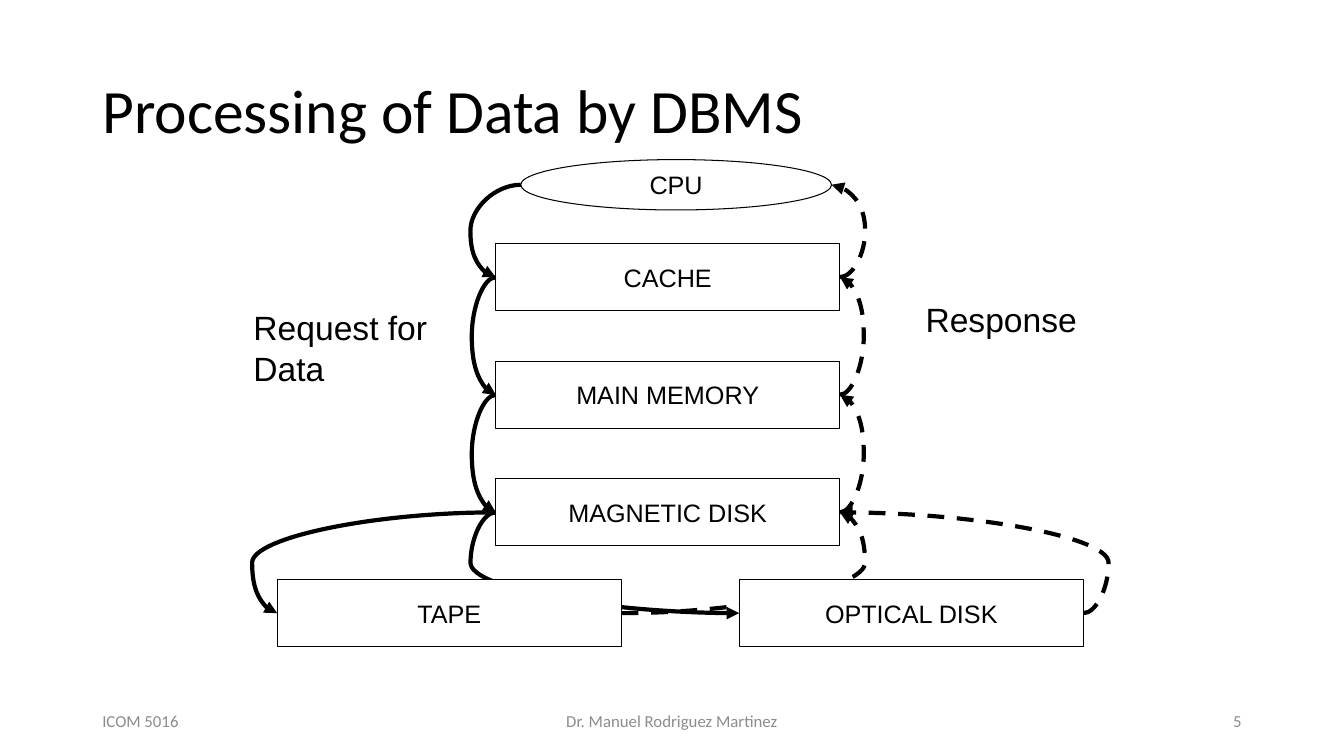
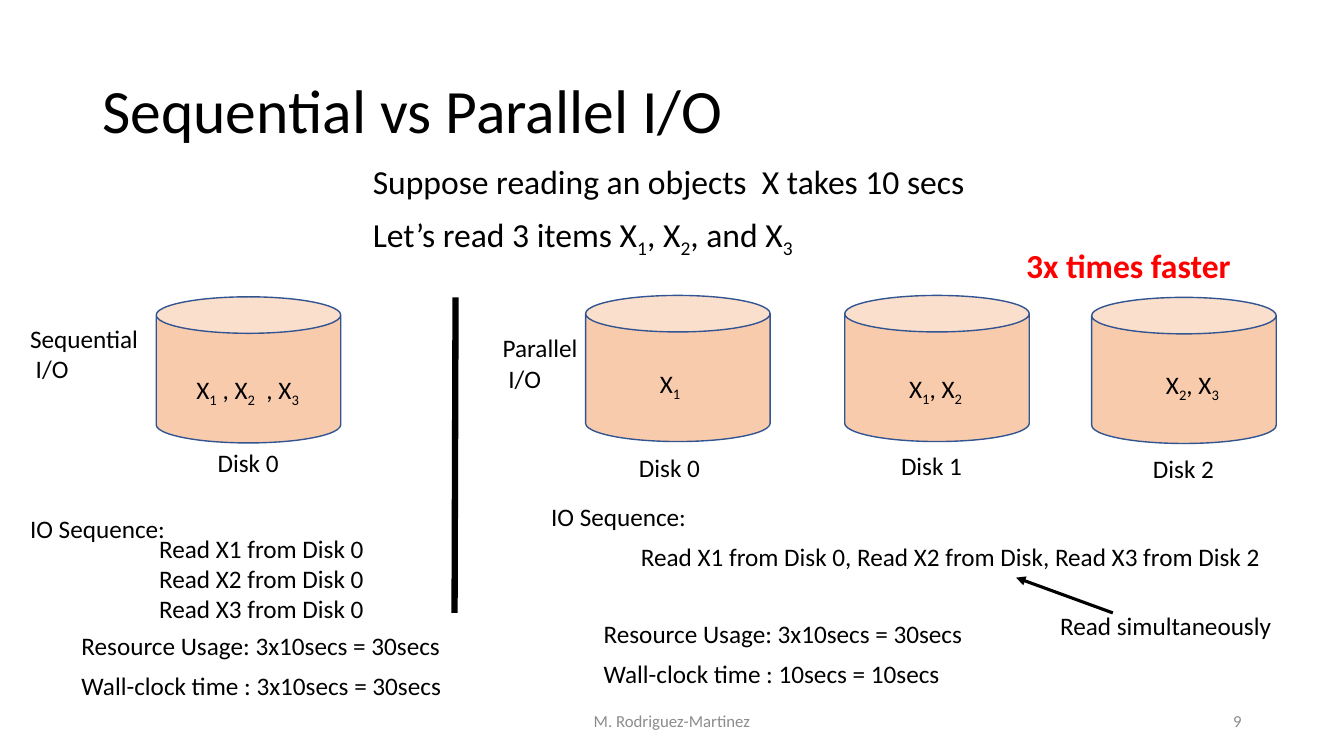
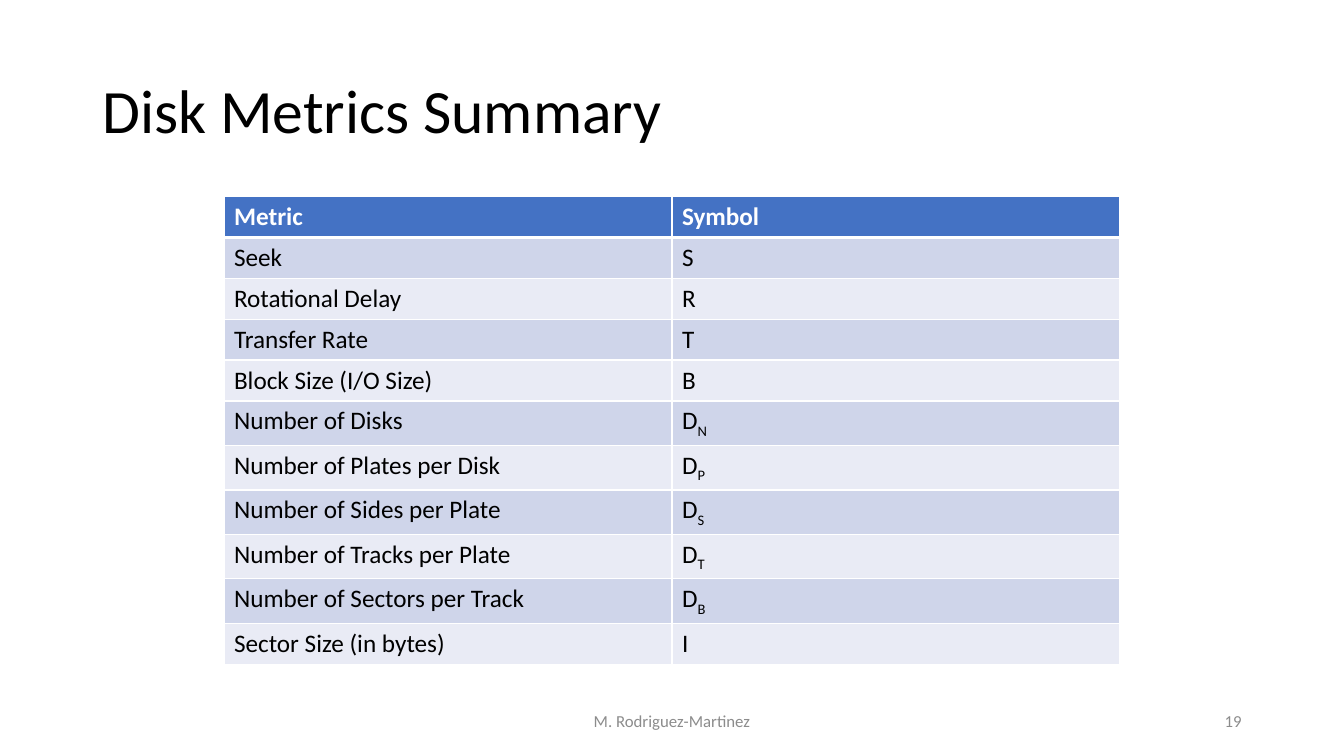
import pptx
import pptx.util
import pptx.dml.color
import pptx.enum.dml
import pptx.enum.shapes
import pptx.enum.text
import pptx.oxml.ns
from lxml import etree

Pt = pptx.util.Pt
RGB = pptx.dml.color.RGBColor
Kind = pptx.enum.shapes.MSO_SHAPE
Wire = pptx.enum.shapes.MSO_CONNECTOR
Align = pptx.enum.text.PP_ALIGN
Anchor = pptx.enum.text.MSO_ANCHOR
DASH = pptx.enum.dml.MSO_LINE.DASH
qn = pptx.oxml.ns.qn

BLACK = RGB(0x00, 0x00, 0x00)
WHITE = RGB(0xFF, 0xFF, 0xFF)
GRAY = RGB(0x8C, 0x8C, 0x8C)
RED = RGB(0xFF, 0x00, 0x00)
PEACH = RGB(0xF8, 0xCB, 0xAD)
NAVY = RGB(0x32, 0x54, 0x91)
BLUE = RGB(0x44, 0x72, 0xC4)
BANDS = (RGB(0xE9, 0xEB, 0xF5), RGB(0xCF, 0xD5, 0xEA))

BODY = {"name": "Calibri", "size": Pt(18), "bold": False}
HEAD = {**BODY, "size": Pt(44)}
LEAD = {**BODY, "size": Pt(24)}
FOOT = {**BODY, "size": Pt(12)}
LABEL = {**BODY, "name": "Arial"}
SIDE = {**LABEL, "size": Pt(24)}
LOUD = {**LEAD, "bold": True}


def fill_text(frame, text, style=BODY, color=BLACK, align=Align.LEFT):
    for row, line in enumerate(text.split("\n")):
        para = frame.add_paragraph() if row else frame.paragraphs[0]
        para.alignment = align
        first, *rest = line.split("_")
        parts = [(first, False)]
        for part in rest:
            parts += [(part[0], True), (part[1:], False)]
        for words, low in parts:
            if not words:
                continue
            run = para.add_run()
            run.text = words
            for key, value in style.items():
                setattr(run.font, key, value)
            run.font.color.rgb = color
            if low:
                run._r.get_or_add_rPr().set("baseline", "-25000")


def write(slide, box, text, style=BODY, color=BLACK,
          align=Align.LEFT, anchor=Anchor.TOP):
    frame = slide.shapes.add_textbox(*map(Pt, box)).text_frame
    frame.word_wrap = True
    frame.vertical_anchor = anchor
    fill_text(frame, text, style, color, align)
    return frame


def solid(slide, kind, box, fill, edge, width):
    shape = slide.shapes.add_shape(kind, *map(Pt, box))
    shape.shadow.inherit = False
    shape.fill.solid()
    shape.fill.fore_color.rgb = fill
    shape.line.color.rgb = edge
    shape.line.width = Pt(width)
    return shape


def wire(slide, kind, ends, width, arrow=True, dash=None):
    link = slide.shapes.add_connector(kind, *map(Pt, ends))
    link.line.color.rgb = BLACK
    link.line.width = Pt(width)
    if dash:
        link.line.dash_style = dash
    props = link._element.spPr
    if arrow:
        etree.SubElement(props.find(qn("a:ln")), qn("a:tailEnd"), type="triangle")
    etree.SubElement(props, qn("a:effectLst"))
    return link


def base(deck, title, center, page, left=""):
    slide = deck.slides.add_slide(deck.slide_layouts[6])
    frame = write(slide, (66, 28.8, 828, 104.4), title, HEAD, anchor=Anchor.MIDDLE)
    frame.paragraphs[0].line_spacing = 0.9
    for x, width, text, align in ((66, 216, left, Align.LEFT),
                                  (318, 324, center, Align.CENTER),
                                  (678, 216, page, Align.RIGHT)):
        if text:
            write(slide, (x, 500.4, width, 28.8), text, FOOT, GRAY,
                  align, Anchor.MIDDLE)
    return slide


def curve(slide, start, end, left):
    def port(shape):
        x = shape.left if left else shape.left + shape.width
        return x / 12700, (shape.top + shape.height / 2) / 12700

    (x1, y1), (x2, y2) = port(start), port(end)
    bend = min(x1, x2) - 18 if left else max(x1, x2) + 18
    if abs(x2 - x1) < 0.01:
        x2 = x1 + 0.12
    link = wire(slide, Wire.CURVE, (x1, y1, x2, y2), 3, dash=None if left else DASH)
    props = link._element.spPr
    ratio = round((bend - x1) / (x2 - x1) * 100000)
    etree.SubElement(props.find(".//" + qn("a:avLst")), qn("a:gd"),
                     name="adj1", fmla=f"val {ratio}")
    if left:
        frame = props.find(qn("a:xfrm"))
        frame.set("rot", "10800000")
        for key in ("flipH", "flipV"):
            frame.set(key, "0" if frame.get(key) == "1" else "1")
    join = link._element.find(".//" + qn("p:cNvCxnSpPr"))
    for tag, shape in (("a:stCxn", start), ("a:endCxn", end)):
        round_one = shape.auto_shape_type == Kind.OVAL
        site = (2 if left else 6) if round_one else (1 if left else 3)
        etree.SubElement(join, qn(tag), id=str(shape.shape_id), idx=str(site))
    return link


def tower(slide, box):
    x, y, width, height = box
    wide, tall = 246, 48
    mid = x + 156
    cells = [("CPU", x + 174, y, 222, 36)]
    cells += [(name, mid, y + 60 + 84 * row, wide, tall)
              for row, name in enumerate(("CACHE", "MAIN MEMORY", "MAGNETIC DISK"))]
    low = y + height - tall
    cells += [("TAPE", x, low, wide, tall),
              ("OPTICAL DISK", x + width - wide, low, wide, tall)]
    nodes = []
    for name, *place in cells:
        kind = Kind.RECTANGLE if nodes else Kind.OVAL
        node = solid(slide, kind, place, WHITE, BLACK, 0.75)
        node.text_frame.vertical_anchor = Anchor.MIDDLE
        fill_text(node.text_frame, name, LABEL, align=Align.CENTER)
        nodes.append(node)
    cpu, cache, memory, disk, tape, optic = nodes
    for upper, lower in ((cpu, cache), (cache, memory), (memory, disk),
                         (disk, tape), (disk, optic)):
        ask = curve(slide, upper, lower, True)
        reply = curve(slide, lower, upper, False)
        under = ask if lower is optic else reply if lower is tape else None
        if under is not None:
            slide.shapes._spTree.insert(2, under._element)
    write(slide, (x - 24, y + 102, 150, 66), "Request for\nData", SIDE)
    write(slide, (x + 456, y + 96, 140, 36), "Response", SIDE)


def drum(slide, box, data, inset, label, shift):
    x, y = box[:2]
    solid(slide, Kind.CAN, box, PEACH, NAVY, 1)
    write(slide, (x + inset[0], y + inset[1], 100, 29), data)
    write(slide, (x + shift[0], y + shift[1], 70, 29), label)


def pane(slide, box, notes, drums):
    x, y = box[:2]
    for dx, dy, *rest in drums:
        drum(slide, (x + dx, y + dy, 131.8, 104.4), *rest)
    for dx, dy, width, text in notes:
        write(slide, (x + dx, y + dy, width, 29), text)


def grid(slide, box, rows):
    x, y, width, height = box
    table = slide.shapes.add_table(len(rows), 2, *map(Pt, box)).table
    for col in table.columns:
        col.width = Pt(width / 2)
    for index, row in enumerate(rows):
        table.rows[index].height = Pt(height / len(rows))
        for col, text in enumerate(row):
            cell = table.cell(index, col)
            props = cell._tc.get_or_add_tcPr()
            for side in "LRTB":
                thick = (index, side) in ((0, "B"), (1, "T"))
                line = etree.SubElement(props, qn("a:ln" + side),
                                        w=str(Pt(3 if thick else 1)))
                paint = etree.SubElement(line, qn("a:solidFill"))
                etree.SubElement(paint, qn("a:srgbClr"), val=str(WHITE))
            cell.fill.solid()
            cell.fill.fore_color.rgb = BANDS[index % 2] if index else BLUE
            fill_text(cell.text_frame, text, {**BODY, "bold": not index},
                      BLACK if index else WHITE)


def flow(deck):
    slide = base(deck, "Processing of Data by DBMS",
                 "Dr. Manuel Rodriguez Martinez", "5", "ICOM 5016")
    tower(slide, (198, 114, 576, 348))


def access(deck):
    slide = base(deck, "Sequential vs Parallel I/O", "M. Rodriguez-Martinez", "9")
    pane(slide, (14.4, 212, 310, 290), (
        (0, 15.5, 100, "Sequential\n I/O"),
        (0, 150.9, 120, "IO Sequence:"),
        (92.2, 165.3, 175, "Read X1 from Disk 0\nRead X2 from Disk 0\nRead X3 from Disk 0"),
        (36.7, 234.4, 290, "Resource Usage: 3x10secs = 30secs"),
        (36.7, 263.2, 290, "Wall-clock time : 3x10secs = 30secs"),
    ), (
        (97.2, 0, "X_1 , X_2  , X_3", (21.6, 51.5), "Disk 0", (36.7, 104.2)),
    ))
    pane(slide, (352, 211, 594, 285), (
        (0, 23, 80, "Parallel\n I/O"),
        (34.6, 143.2, 120, "IO Sequence:"),
        (98.7, 172, 490, "Read X1 from Disk 0, Read X2 from Disk, Read X3 from Disk 2"),
        (72.1, 226.8, 290, "Resource Usage: 3x10secs = 30secs"),
        (72.1, 255.6, 280, "Wall-clock time : 10secs = 10secs"),
        (398.2, 221.7, 180, "Read simultaneously"),
    ), (
        (66.3, 0, "X_1", (46, 48.2), "Disk 0", (31, 108.7)),
        (251.4, 0, "X_1, X_2", (38.9, 51.8), "Disk 1", (33.1, 107.2)),
        (427.8, 1.4, "X_2, X_3", (46, 47.5), "Disk 2", (36.7, 108)),
    ))
    for y, text in ((111.6, "Suppose reading an objects  X takes 10 secs"),
                    (149, "Let’s read 3 items X_1, X_2, and X_3")):
        write(slide, (259.2, y, 460, 36), text, LEAD)
    write(slide, (725.8, 171.4, 180, 36), "3x times faster", LOUD, RED)
    wire(slide, Wire.STRAIGHT, (325.4, 212.4, 324.7, 437.8), 4.5, arrow=False)
    wire(slide, Wire.STRAIGHT, (794.9, 437.8, 725.8, 412.6), 2.25)


def metrics(deck):
    slide = base(deck, "Disk Metrics Summary", "M. Rodriguez-Martinez", "19")
    grid(slide, (160, 140.4, 640, 321.2), (
        ("Metric", "Symbol"),
        ("Seek", "S"),
        ("Rotational Delay", "R"),
        ("Transfer Rate", "T"),
        ("Block Size (I/O Size)", "B"),
        ("Number of Disks", "D_N"),
        ("Number of Plates per Disk", "D_P"),
        ("Number of Sides per Plate", "D_S"),
        ("Number of Tracks per Plate", "D_T"),
        ("Number of Sectors per Track", "D_B"),
        ("Sector Size (in bytes)", "I"),
    ))


def main():
    deck = pptx.Presentation()
    deck.slide_width, deck.slide_height = Pt(960), Pt(540)
    for build in (flow, access, metrics):
        build(deck)
    deck.save("out.pptx")


if __name__ == "__main__":
    main()
